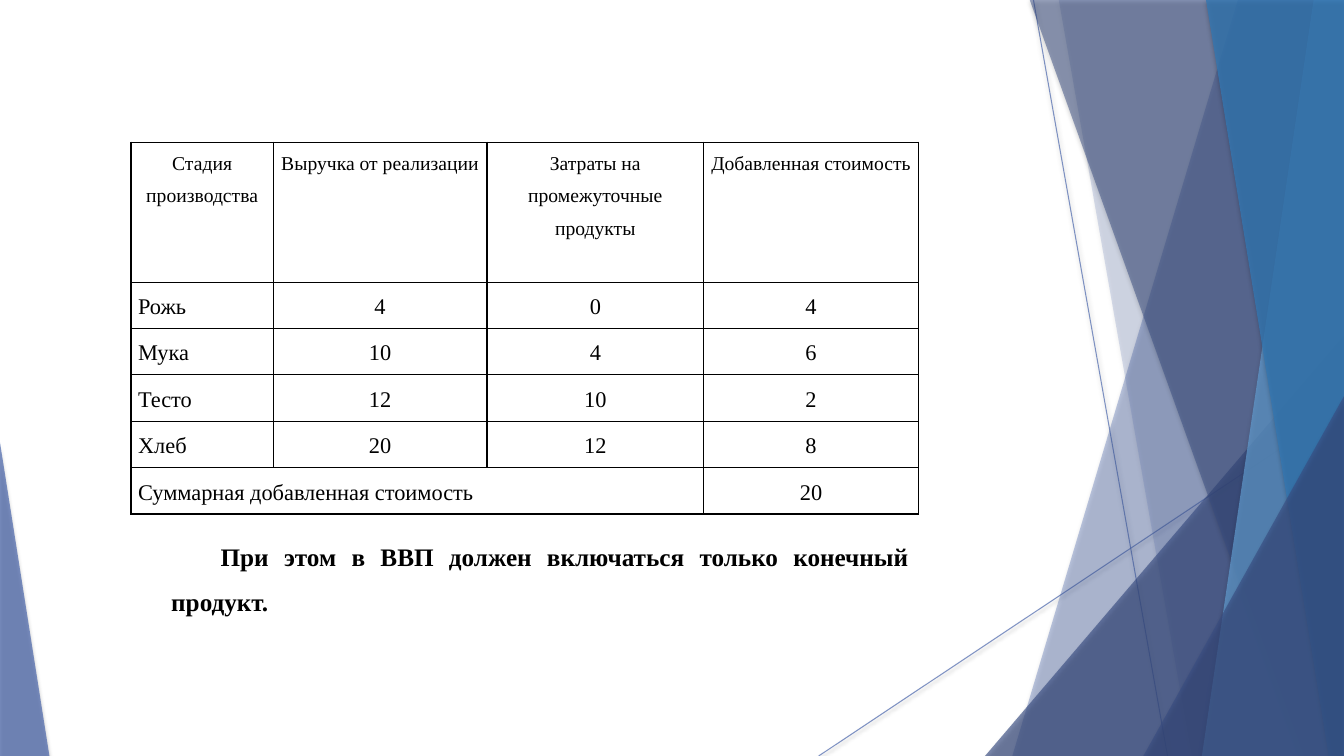
from lxml import etree
from pptx import Presentation
from pptx.dml.color import RGBColor
from pptx.enum.shapes import MSO_CONNECTOR, MSO_SHAPE
from pptx.enum.text import PP_ALIGN
from pptx.oxml.ns import qn
from pptx.util import Pt

PX = 9144  # EMU per px, 100 px to the inch
SLIDE_WIDTH, SLIDE_HEIGHT = 1333, 750
FONT = "Times New Roman"

BLACK = RGBColor(0x00, 0x00, 0x00)
INDIGO = RGBColor(0x4A, 0x66, 0xAC)
NAVY = RGBColor(0x38, 0x4C, 0x81)
SKY = RGBColor(0x62, 0x9D, 0xD1)
BLUE = RGBColor(0x34, 0x77, 0xB2)

CENTER, JUSTIFY = PP_ALIGN.CENTER, PP_ALIGN.JUSTIFY
STRAIGHT = MSO_CONNECTOR.STRAIGHT
TRIANGLE = MSO_SHAPE.ISOSCELES_TRIANGLE

RAYS = [((1025, 0), (1158, 750)), ((1333, 403), (812, 750))]
# top left x, bottom left x, colour, opacity in percent
BACK_BANDS = [(1228, 1004, INDIGO, 36), (1050, 1182, INDIGO, 20)]
FRONT_BANDS = [(1021, 1291, NAVY, 50), (1303, 1192, SKY, 70),
               (1196, 1318, BLUE, 80)]

COLUMN_WIDTHS = [141, 212, 215, 213]
HEADER_HEIGHT, ROW_HEIGHT = 139, 46
HEADERS = ["Стадия производства", "Выручка от реализации",
           "Затраты на промежуточные продукты", "Добавленная стоимость"]
STAGES = [("Рожь", 4, 0, 4), ("Мука", 10, 4, 6),
          ("Тесто", 12, 10, 2), ("Хлеб", 20, 12, 8)]
TOTAL_LABEL = "Суммарная добавленная стоимость"
CONCLUSION = "При этом в ВВП должен включаться только конечный продукт."


def set_opacity(properties, percent):
    for color in properties.iter(qn("a:srgbClr")):
        etree.SubElement(color, qn("a:alpha"), val=str(percent * 1000))


def add_shadow(properties, opacity, blur, distance):
    """Put a soft black shadow below the shape that owns the properties."""
    effects = properties.find(qn("a:effectLst"))
    if effects is None:
        effects = etree.SubElement(properties, qn("a:effectLst"))
    shadow = etree.SubElement(effects, qn("a:outerShdw"), blurRad=str(Pt(blur)),
                              dist=str(Pt(distance)), dir="5400000",
                              rotWithShape="0")
    color = etree.SubElement(shadow, qn("a:srgbClr"), val=str(BLACK))
    etree.SubElement(color, qn("a:alpha"), val=str(opacity * 1000))


def paint_facet(shape, color, opacity):
    shape.fill.solid()
    shape.fill.fore_color.rgb = color
    shape.line.fill.background()
    shape.shadow.inherit = False
    set_opacity(shape.element.spPr, opacity)
    add_shadow(shape.element.spPr, 35, 3, 2)


def add_ray(slide, start, end):
    points = [value * PX for value in start + end]
    ray = slide.shapes.add_connector(STRAIGHT, *points)
    ray.line.color.rgb = INDIGO
    ray.line.width = Pt(0.75)
    set_opacity(ray.element.spPr, 70)
    add_shadow(ray.element.spPr, 38, 3.1, 1.6)


def add_band(slide, top_x, bottom_x, color, opacity):
    """Fill the area from a slanted left edge to the slide's right edge."""
    builder = slide.shapes.build_freeform(top_x, -1, scale=PX)
    builder.add_line_segments([(SLIDE_WIDTH, -1), (SLIDE_WIDTH, SLIDE_HEIGHT),
                               (bottom_x, SLIDE_HEIGHT)], close=True)
    paint_facet(builder.convert_to_shape(), color, opacity)


def add_corner(slide, left, top, width, apex, color, opacity):
    """Add a right triangle standing on the slide's bottom edge."""
    height = SLIDE_HEIGHT - top
    corner = slide.shapes.add_shape(TRIANGLE, left * PX, top * PX,
                                    width * PX, height * PX)
    corner.adjustments[0] = apex
    paint_facet(corner, color, opacity)


def write(paragraph, text, size, alignment, bold=False):
    paragraph.alignment = alignment
    paragraph.line_spacing = 1.5
    run = paragraph.add_run()
    run.text = text
    run.font.name = FONT
    run.font.size = Pt(size)
    run.font.bold = bold
    run.font.color.rgb = BLACK


def format_cell(cell):
    cell.margin_left = cell.margin_right = 7 * PX
    cell.margin_top = cell.margin_bottom = 0
    properties = cell._tc.get_or_add_tcPr()
    for side in ("lnL", "lnR", "lnT", "lnB"):
        border = etree.SubElement(properties, qn(f"a:{side}"), w=str(Pt(1)))
        fill = etree.SubElement(border, qn("a:solidFill"))
        etree.SubElement(fill, qn("a:srgbClr"), val=str(BLACK))
    cell.fill.background()


def add_value_table(slide, left, top):
    total = sum(stage[-1] for stage in STAGES)
    rows = [HEADERS, *STAGES, (TOTAL_LABEL, None, None, total)]
    heights = [HEADER_HEIGHT] + [ROW_HEIGHT] * (len(rows) - 1)
    table = slide.shapes.add_table(
        len(rows), len(HEADERS), left * PX, top * PX,
        sum(COLUMN_WIDTHS) * PX, sum(heights) * PX).table
    table.first_row = table.horz_banding = False
    for column, width in zip(table.columns, COLUMN_WIDTHS):
        column.width = width * PX
    for row, height in zip(table.rows, heights):
        row.height = height * PX
    for row_index, values in enumerate(rows):
        for column_index, value in enumerate(values):
            cell = table.cell(row_index, column_index)
            format_cell(cell)
            if value is None:
                continue
            is_label = row_index > 0 and column_index == 0
            write(cell.text_frame.paragraphs[0], str(value),
                  16 if row_index else 14, JUSTIFY if is_label else CENTER)
    last = len(rows) - 1
    table.cell(last, 0).merge(table.cell(last, 2))


def add_conclusion(slide, left, top, width, height):
    box = slide.shapes.add_textbox(left * PX, top * PX, width * PX, height * PX)
    box.text_frame.word_wrap = True
    paragraph = box.text_frame.paragraphs[0]
    write(paragraph, CONCLUSION, 18, JUSTIFY, bold=True)
    properties = paragraph._p.get_or_add_pPr()
    properties.set("marL", str(30 * PX))
    properties.set("indent", str(49 * PX))


def main():
    presentation = Presentation()
    presentation.slide_width = SLIDE_WIDTH * PX
    presentation.slide_height = SLIDE_HEIGHT * PX
    slide = presentation.slides.add_slide(presentation.slide_layouts[6])

    for start, end in RAYS:
        add_ray(slide, start, end)
    for band in BACK_BANDS:
        add_band(slide, *band)
    add_corner(slide, 977, 333, 356, 1, NAVY, 66)
    for band in FRONT_BANDS:
        add_band(slide, *band)
    add_corner(slide, 1134, 393, 199, 1, NAVY, 66)
    add_corner(slide, 0, 439, 49, 0, INDIGO, 70)

    add_value_table(slide, 130, 141)
    add_conclusion(slide, 130, 517, 781, 95)
    presentation.save("out.pptx")


if __name__ == "__main__":
    main()
